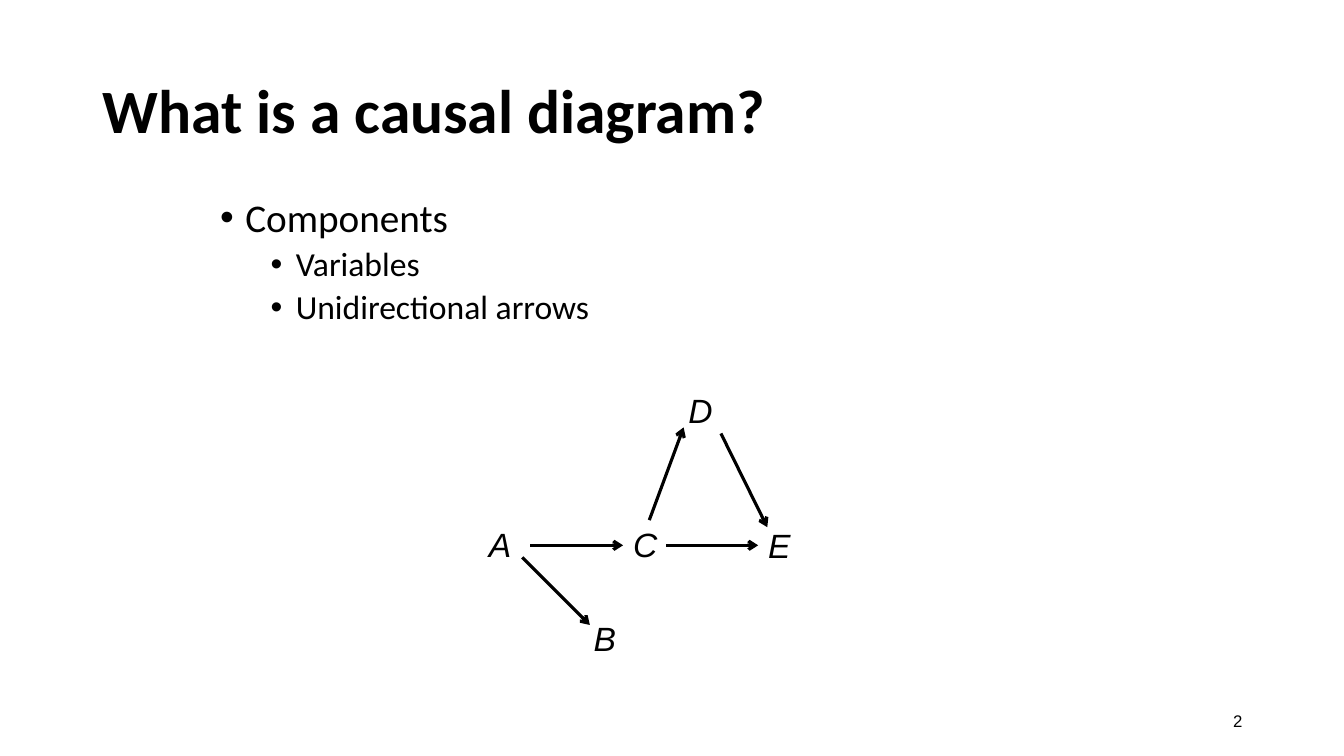
from dataclasses import dataclass

from pptx import Presentation
from pptx.dml.color import RGBColor
from pptx.enum.shapes import MSO_CONNECTOR
from pptx.enum.text import MSO_ANCHOR, MSO_AUTO_SIZE, PP_ALIGN
from pptx.oxml.ns import qn
from pptx.util import Inches, Pt
from lxml import etree

STRAIGHT = MSO_CONNECTOR.STRAIGHT
TOP, MIDDLE = MSO_ANCHOR.TOP, MSO_ANCHOR.MIDDLE
LEFT, RIGHT = PP_ALIGN.LEFT, PP_ALIGN.RIGHT
NO_FIT = MSO_AUTO_SIZE.NONE


@dataclass(frozen=True)
class Theme:
    """Colours, fonts and type sizes of the slide."""
    ink: RGBColor = RGBColor(0, 0, 0)
    text_font: str = "Calibri"
    label_font: str = "Arial"
    title: int = 44
    levels: tuple = (28, 24)
    label: int = 24
    number: int = 12
    line: float = 2.25


THEME = Theme()

BULLETS = [(0, "Components"), (1, "Variables"), (1, "Unidirectional arrows")]

VARIABLES = {
    "A": (4.75, 5.15, 0.42),
    "B": (5.79, 6.08, 0.59),
    "C": (6.18, 5.15, 0.45),
    "D": (6.73, 3.82, 0.45),
    "E": (7.52, 5.16, 0.43),
}

ARROWS = [
    (5.26, 5.41, 6.18, 5.41),
    (5.18, 5.53, 5.85, 6.2),
    (6.44, 5.16, 6.78, 4.24),
    (6.61, 5.41, 7.52, 5.41),
    (7.15, 4.3, 7.61, 5.23),
]


def place(sp, left, top, width, height):
    """Move and size a shape, in inches."""
    sp.left, sp.top = Inches(left), Inches(top)
    sp.width, sp.height = Inches(width), Inches(height)


def add_run(p, text, size, font, bold=False, italic=False):
    """Add one formatted run to a paragraph."""
    r = p.add_run()
    r.text = text
    r.font.size, r.font.name = Pt(size), font
    r.font.bold, r.font.italic = bold, italic
    r.font.color.rgb = THEME.ink


def set_bullet(p, margin):
    """Give a paragraph a round bullet with a hanging indent."""
    pPr = p._p.get_or_add_pPr()
    pPr.set("marL", str(Inches(margin)))
    pPr.set("indent", str(Inches(-0.25)))
    etree.SubElement(pPr, qn("a:buFont"), typeface=THEME.label_font)
    etree.SubElement(pPr, qn("a:buChar"), char="•")


def fill_title(sp, text):
    """Format the title placeholder and write its text."""
    place(sp, 0.92, 0.4, 11.5, 1.45)
    tf = sp.text_frame
    tf.auto_size, tf.vertical_anchor = NO_FIT, MIDDLE
    p = tf.paragraphs[0]
    p.alignment, p.line_spacing = LEFT, 0.9
    add_run(p, text, THEME.title, THEME.text_font, bold=True)


def fill_body(sp, items):
    """Write a two-level bulleted list in the body placeholder."""
    place(sp, 25 / 12, 23 / 12, 4.83, 3.83)
    tf = sp.text_frame
    tf.auto_size, tf.vertical_anchor = NO_FIT, TOP
    for i, (level, text) in enumerate(items):
        p = tf.add_paragraph() if i else tf.paragraphs[0]
        p.level, p.line_spacing = level, 0.9
        p.space_before = Pt(5 if level else 10)
        set_bullet(p, 0.25 + 0.5 * level)
        add_run(p, text, THEME.levels[level], THEME.text_font)


def add_label(s, text, box, size, align=LEFT, anchor=TOP, italic=False, wrap=False):
    """Add a text box with a single run."""
    sp = s.shapes.add_textbox(*map(Inches, box))
    tf = sp.text_frame
    tf.word_wrap, tf.vertical_anchor = wrap, anchor
    p = tf.paragraphs[0]
    p.alignment = align
    add_run(p, text, size, THEME.label_font, italic=italic)


def add_arrow(s, ends):
    """Draw a straight line with an open arrowhead at its end."""
    sp = s.shapes.add_connector(STRAIGHT, *map(Inches, ends))
    sp.line.color.rgb = THEME.ink
    sp.line.width = Pt(THEME.line)
    etree.SubElement(sp.line._get_or_add_ln(), qn("a:tailEnd"), type="arrow")
    etree.SubElement(sp._element.spPr, qn("a:effectLst"))


def main():
    """Build the causal diagram slide."""
    prs = Presentation()
    prs.slide_width, prs.slide_height = Inches(13.33), Inches(7.5)
    s = prs.slides.add_slide(prs.slide_layouts[1])
    fill_title(s.shapes.title, "What is a causal diagram?")
    fill_body(s.placeholders[1], BULLETS)
    for name, (left, top, width) in VARIABLES.items():
        add_label(s, name, (left, top, width, 0.5), THEME.label, italic=True)
    for ends in ARROWS:
        add_arrow(s, ends)
    add_label(s, "2", (9.42, 6.95, 3, 0.4), THEME.number, RIGHT, MIDDLE, wrap=True)
    prs.save("out.pptx")


if __name__ == "__main__":
    main()
